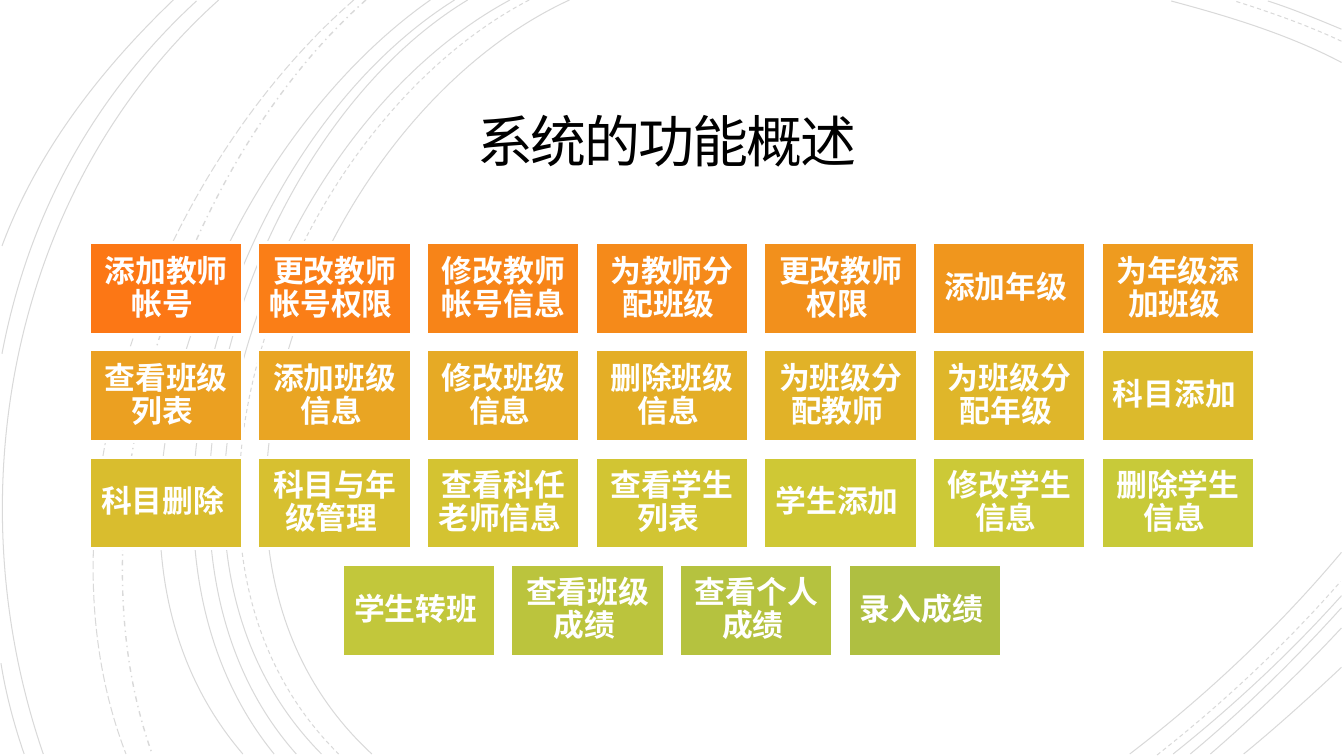
from lxml import etree
from pptx import Presentation
from pptx import util as u
from pptx.dml.color import RGBColor
from pptx.enum import dml, shapes, text
from pptx.oxml.ns import qn

TITLE = "系统的功能概述 "
FUNCTIONS = [
    [("添加教师帐号 ", "FC7715"), ("更改教师帐号权限 ", "FA7E17"),
     ("修改教师帐号信息", "F78418"), ("为教师分配班级 ", "F58A1A"),
     ("更改教师权限 ", "F2901C"), ("添加年级 ", "F0961D"),
     ("为年级添加班级 ", "EE9B1F")],
    [("查看班级列表 ", "EBA021"), ("添加班级信息 ", "E9A523"),
     ("修改班级信息 ", "E6AA25"), ("删除班级信息 ", "E4AE26"),
     ("为班级分配教师 ", "E1B228"), ("为班级分配年级 ", "DFB62A"),
     ("科目添加 ", "DCBA2C")],
    [("科目删除 ", "D9BD2E"), ("科目与年级管理 ", "D7C030"),
     ("查看科任老师信息 ", "D4C331"), ("查看学生列表 ", "D2C533"),
     ("学生添加 ", "CFC835"), ("修改学生信息 ", "CCC937"),
     ("删除学生信息 ", "C8CA39")],
    [("学生转班 ", "C2C73B"), ("查看班级成绩 ", "BBC43D"),
     ("查看个人成绩 ", "B5C23F"), ("录入成绩 ", "AFBF41")],
]

SOLID, DASH = dml.MSO_LINE.SOLID, dml.MSO_LINE.DASH
DASH_DOT, LONG_DASH = dml.MSO_LINE.DASH_DOT, dml.MSO_LINE.LONG_DASH
CM_PER_INCH = 2.54
ARCS_IN_INCHES = [
    ((5.65, 0), (3.15, 1.15), (1.43, 5.4), (3.69, 7.48), SOLID),
    ((13.31, 0.62), (12.78, 0.34), (12.18, 0.16), (11.62, 0.01), SOLID),
    ((11.21, 7.48), (11.97, 6.9), (12.69, 6.22), (13.31, 5.48), SOLID),
    ((5.25, 0), (2.85, 1.25), (1.23, 5.37), (3.36, 7.48), DASH),
    ((13.31, 0.41), (12.97, 0.25), (12.6, 0.12), (12.25, 0.01), DASH),
    ((11.48, 7.49), (12.13, 6.98), (12.75, 6.4), (13.3, 5.77), DASH),
    ((5.06, 0), (2.7, 1.27), (1.1, 5.37), (3.19, 7.48), SOLID),
    ((13.31, 0.29), (13.07, 0.19), (12.83, 0.09), (12.58, 0.01), SOLID),
    ((11.64, 7.48), (12.23, 7.01), (12.8, 6.48), (13.31, 5.91), SOLID),
    ((4.64, 0), (2.44, 1.33), (1.1, 5.41), (2.94, 7.48), SOLID),
    ((11.81, 7.48), (12.34, 7.04), (12.84, 6.55), (13.31, 6.03), SOLID),
    ((4.51, 0), (2.31, 1.38), (0.97, 5.33), (2.72, 7.48), SOLID),
    ((12.01, 7.48), (12.46, 7.09), (12.9, 6.67), (13.31, 6.23), SOLID),
    ((4.27, 0), (2.17, 1.47), (0.53, 5.29), (2.41, 7.48), SOLID),
    ((12.34, 7.48), (12.67, 7.21), (12.99, 6.92), (13.31, 6.62), SOLID),
    ((3.63, 0), (1.76, 1.66), (0.65, 5.09), (1.51, 7.48), DASH_DOT),
    ((3.51, 0), (1.57, 1.69), (0.29, 4.99), (1.25, 7.48), LONG_DASH),
    ((2.17, 0), (0.11, 1.85), (-0.46, 4.9), (0.43, 7.48), SOLID),
    ((1.95, 0.01), (0.92, 0.96), (0.28, 2.14), (0.02, 3.51), SOLID),
    ((0.01, 6.58), (0.06, 6.89), (0.14, 7.19), (0.24, 7.48), SOLID),
    ((1.72, 0), (1, 0.69), (0.37, 1.5), (0.02, 2.44), SOLID),
]

SLIDE_W, SLIDE_H = 33.87, 19.05
BOX_W, BOX_H = 3.86, 2.31
PITCH_X, PITCH_Y = 4.25, 2.7
GRID_TOP = 6.12


def color(hex_text):
    return RGBColor.from_string(hex_text)


def bend(sp):
    segments = list(sp._element.iter(qn("a:lnTo")))
    curve = etree.SubElement(segments[0].getparent(), qn("a:cubicBezTo"))
    for segment in segments:
        curve.append(segment[0])
        segment.getparent().remove(segment)


def add_arc(s, controls, dash):
    points = [tuple(u.Cm(CM_PER_INCH * value) for value in point) for point in controls]
    builder = s.shapes.build_freeform(*points[0])
    builder.add_line_segments(points[1:], close=False)
    sp = builder.convert_to_shape()
    bend(sp)
    sp.shadow.inherit = False
    sp.fill.background()
    sp.line.color.rgb = color("000000")
    sp.line.width = u.Pt(1 if dash == DASH_DOT else 0.75)
    sp.line.dash_style = dash
    srgb = sp._element.spPr.find(qn("a:ln")).find(".//" + qn("a:srgbClr"))
    etree.SubElement(srgb, qn("a:alpha"), val="15000")


def write(sp, wording, font, size, hex_text, bold, spacing, inset):
    tf = sp.text_frame
    tf.word_wrap = True
    tf.auto_size = text.MSO_AUTO_SIZE.NONE
    tf.vertical_anchor = text.MSO_ANCHOR.MIDDLE
    tf.margin_left = tf.margin_right = tf.margin_top = tf.margin_bottom = u.Cm(inset)
    p = tf.paragraphs[0]
    p.alignment = text.PP_ALIGN.CENTER
    p.line_spacing = spacing
    r = p.add_run()
    r.text = wording
    r.font.name = font
    r.font.size = u.Pt(size)
    r.font.bold = bold
    r.font.color.rgb = color(hex_text)
    return r


def add_box(s, left, top, wording, fill):
    sp = s.shapes.add_shape(shapes.MSO_SHAPE.RECTANGLE,
                            u.Cm(left), u.Cm(top), u.Cm(BOX_W), u.Cm(BOX_H))
    sp.shadow.inherit = False
    sp.fill.solid()
    sp.fill.fore_color.rgb = color(fill)
    sp.line.color.rgb = color("FFFFFF")
    sp.line.width = u.Pt(2)
    write(sp, wording, "TeX Gyre Bonum", 22, "FFFFFF", True, 0.9, 0.23)


def main():
    prs = Presentation()
    prs.slide_width, prs.slide_height = u.Cm(SLIDE_W), u.Cm(SLIDE_H)
    s = prs.slides.add_slide(prs.slide_layouts[5])
    s.background.fill.solid()
    s.background.fill.fore_color.rgb = color("FFFFFF")

    for *controls, dash in ARCS_IN_INCHES:
        add_arc(s, controls, dash)

    title = s.shapes.title
    title.left, title.top = u.Cm(4.88), u.Cm(2.21)
    title.width, title.height = u.Cm(24.1), u.Cm(2.92)
    r = write(title, TITLE, "Calibri", 40, "000000", False, 0.85, 0.64)
    r._r.get_or_add_rPr().set("spc", "-150")

    for row, boxes in enumerate(FUNCTIONS):
        row_left = (SLIDE_W - (len(boxes) - 1) * PITCH_X - BOX_W) / 2
        for col, (wording, fill) in enumerate(boxes):
            add_box(s, row_left + col * PITCH_X, GRID_TOP + row * PITCH_Y, wording, fill)

    prs.save("out.pptx")


if __name__ == "__main__":
    main()
